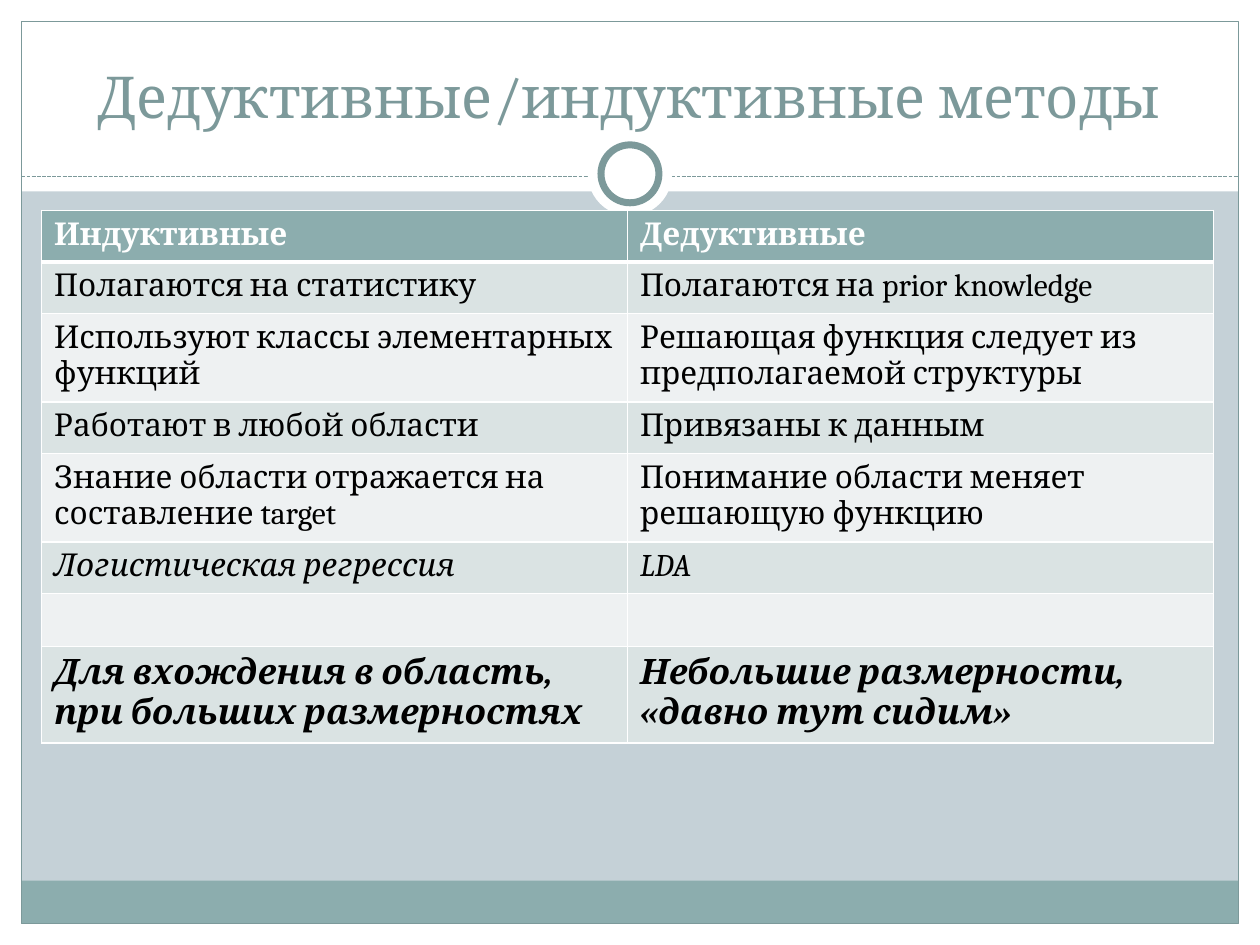
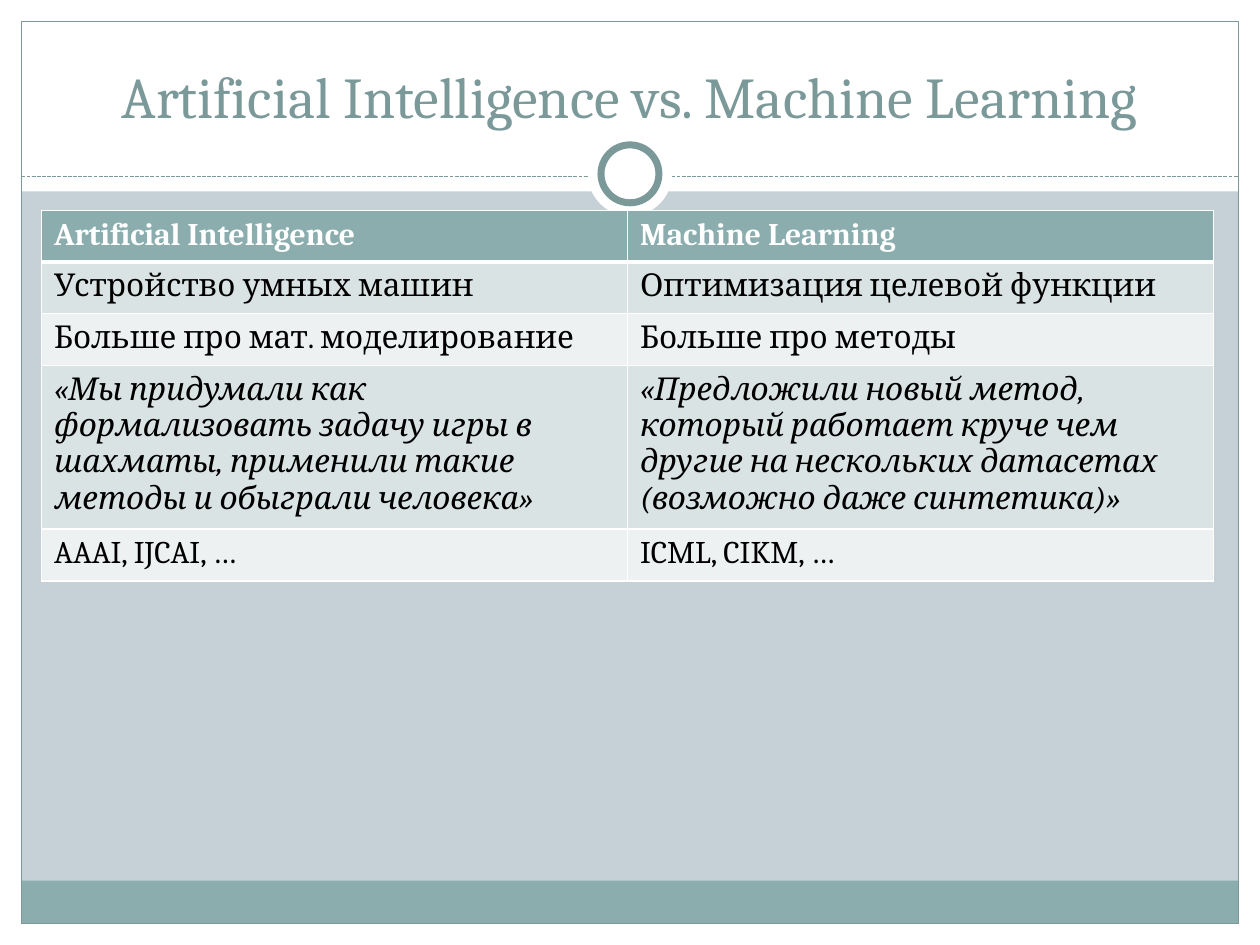
from lxml import etree
from pptx import Presentation
from pptx.dml.color import RGBColor
from pptx.enum.dml import MSO_LINE
from pptx.enum.shapes import MSO_CONNECTOR, MSO_SHAPE
from pptx.enum.text import MSO_ANCHOR, PP_ALIGN
from pptx.oxml.ns import qn
from pptx.util import Inches, Pt

RECT, OVAL = MSO_SHAPE.RECTANGLE, MSO_SHAPE.OVAL
STRAIGHT, SYS_DASH = MSO_CONNECTOR.STRAIGHT, MSO_LINE.SQUARE_DOT
CENTER, BOTTOM = PP_ALIGN.CENTER, MSO_ANCHOR.BOTTOM

# Content: each row is (left, right, style); the first row is the header
PLAIN, ITALIC = {}, {"italic": True}
HEADER = {"bold": True, "color": "FFFFFF"}
CONCLUSION = {"size": 20, "bold": True, "italic": True}
SLIDES = [
    ("Дедуктивные/индуктивные методы", [
        ("Индуктивные", "Дедуктивные", HEADER),
        ("Полагаются на статистику", "Полагаются на prior knowledge", PLAIN),
        ("Используют классы элементарных функций",
         "Решающая функция следует из предполагаемой структуры", PLAIN),
        ("Работают в любой области", "Привязаны к данным", PLAIN),
        ("Знание области отражается на составление target",
         "Понимание области меняет решающую функцию", PLAIN),
        ("Логистическая регрессия", "LDA", ITALIC),
        ("", "", PLAIN),
        ("Для вхождения в область, при больших размерностях",
         "Небольшие размерности, «давно тут сидим»", CONCLUSION),
    ]),
    ("Artificial Intelligence vs. Machine Learning", [
        ("Artificial Intelligence", "Machine Learning", HEADER),
        ("Устройство умных машин", "Оптимизация целевой функции", PLAIN),
        ("Больше про мат. моделирование", "Больше про методы", PLAIN),
        ("«Мы придумали как формализовать задачу игры в шахматы, "
         "применили такие методы и обыграли человека»",
         "«Предложили новый метод, который работает круче чем другие "
         "на нескольких датасетах (возможно даже синтетика)»", ITALIC),
        ("AAAI, IJCAI, …", "ICML, CIKM, …", PLAIN),
    ]),
]

# Shared look
FONT = "Cambria"
BACKGROUND, WHITE, BLACK = "C5D1D7", "FFFFFF", "000000"
TEAL, ACCENT = "8CADAE", "7C999A"
BANDS = ("EEF1F2", "DAE3E3")
WIDTH, HEIGHT, MARGIN = 10, 7.5, 0.17
TITLE_BAND, RULE_Y = 1.52, 1.4
FOOTER_TOP, FOOTER_HEIGHT = 6.99, 0.34
RING_CENTER = (5, 1.38)
TABLE_LEFT, TABLE_TOP, COLUMN, ROW, EMPTY_ROW = 0.33, 1.67, 4.65, 0.41, 0.42


def rgb(value):
    return RGBColor.from_string(value)


def add_text(tf, text, size=18, color=BLACK, bold=False, italic=False, align=None):
    p = tf.paragraphs[0]
    p.alignment = align
    r = p.add_run()
    r.text = text
    r.font.name, r.font.size = FONT, Pt(size)
    r.font.bold, r.font.italic = bold, italic
    r.font.color.rgb = rgb(color)


def add_shape(s, kind, box, fill=None, line=None, width=0.75):
    sp = s.shapes.add_shape(kind, *map(Inches, box))
    sp.shadow.inherit = False
    if fill:
        sp.fill.solid()
        sp.fill.fore_color.rgb = rgb(fill)
    else:
        sp.fill.background()
    if line:
        sp.line.color.rgb = rgb(line)
        sp.line.width = Pt(width)
    else:
        sp.line.fill.background()


def add_disc(s, diameter, **style):
    x, y = RING_CENTER
    add_shape(s, OVAL, (x - diameter / 2, y - diameter / 2, diameter, diameter),
              WHITE, **style)


def add_frame(s):
    s.background.fill.solid()
    s.background.fill.fore_color.rgb = rgb(BACKGROUND)
    inner = WIDTH - 2 * MARGIN
    # White margins and title band
    for box in [(0, HEIGHT - MARGIN, WIDTH, MARGIN), (0, 0, WIDTH, TITLE_BAND),
                (0, 0, MARGIN, HEIGHT), (WIDTH - MARGIN, 0, MARGIN, HEIGHT)]:
        add_shape(s, RECT, box, WHITE)
    # Footer band and outline
    add_shape(s, RECT, (MARGIN, FOOTER_TOP, inner, FOOTER_HEIGHT), TEAL)
    add_shape(s, RECT, (MARGIN, MARGIN, inner, HEIGHT - 2 * MARGIN), line=ACCENT)
    # Dashed rule under the title
    rule = s.shapes.add_connector(STRAIGHT, Inches(MARGIN), Inches(RULE_Y),
                                  Inches(WIDTH - MARGIN), Inches(RULE_Y))
    rule.line.color.rgb = rgb(ACCENT)
    rule.line.width = Pt(0.75)
    rule.line.dash_style = SYS_DASH
    etree.SubElement(rule._element.spPr, qn("a:effectLst"))
    # Ring on the rule
    add_disc(s, 0.67)
    add_disc(s, 0.46, line=ACCENT, width=4)


def add_title(s, title):
    tf = s.shapes.add_textbox(*map(Inches, (0.33, 0.25, 9.33, 0.83))).text_frame
    tf.word_wrap = True
    tf.vertical_anchor = BOTTOM
    add_text(tf, title, size=33, color=ACCENT, align=CENTER)


def set_borders(cell, **widths):
    tcPr = cell._tc.get_or_add_tcPr()
    for side in "LRTB":
        ln = etree.SubElement(tcPr, qn(f"a:ln{side}"), w=str(Pt(widths.get(side, 1))))
        fill = etree.SubElement(ln, qn("a:solidFill"))
        etree.SubElement(fill, qn("a:srgbClr"), val=WHITE)


def add_comparison(s, rows):
    table = s.shapes.add_table(len(rows), 2, Inches(TABLE_LEFT), Inches(TABLE_TOP),
                               Inches(2 * COLUMN), Inches(ROW * len(rows))).table
    table.horz_banding = False
    for column in table.columns:
        column.width = Inches(COLUMN)
    for i, (*texts, style) in enumerate(rows):
        table.rows[i].height = Inches(ROW if any(texts) else EMPTY_ROW)
        # Thick line between the header and the body
        thick = {0: {"B": 3}, 1: {"T": 3}}.get(i, {})
        for j, text in enumerate(texts):
            cell = table.cell(i, j)
            set_borders(cell, **thick)
            cell.fill.solid()
            cell.fill.fore_color.rgb = rgb(BANDS[i % 2] if i else TEAL)
            if text:
                add_text(cell.text_frame, text, **style)


def main():
    prs = Presentation()
    prs.slide_width, prs.slide_height = Inches(WIDTH), Inches(HEIGHT)
    for title, rows in SLIDES:
        s = prs.slides.add_slide(prs.slide_layouts[6])
        add_frame(s)
        add_title(s, title)
        add_comparison(s, rows)
    prs.save("out.pptx")


if __name__ == "__main__":
    main()
